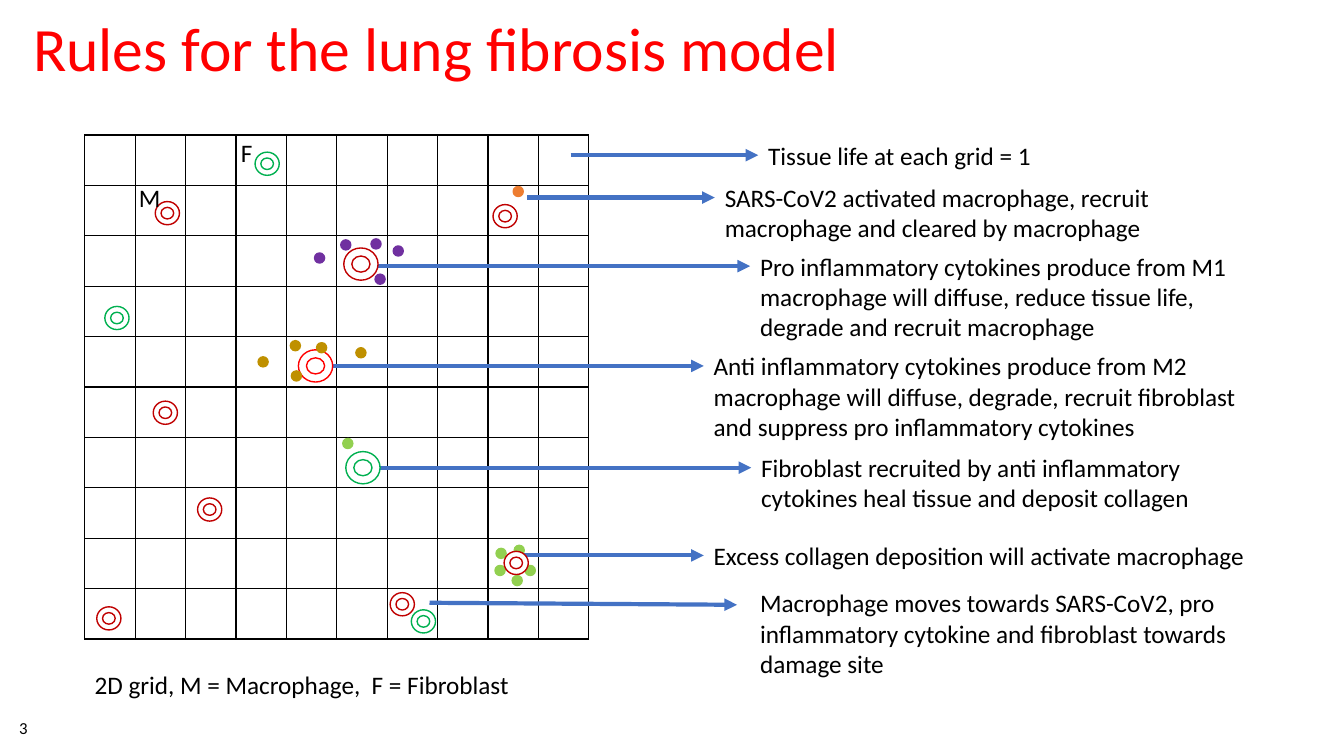
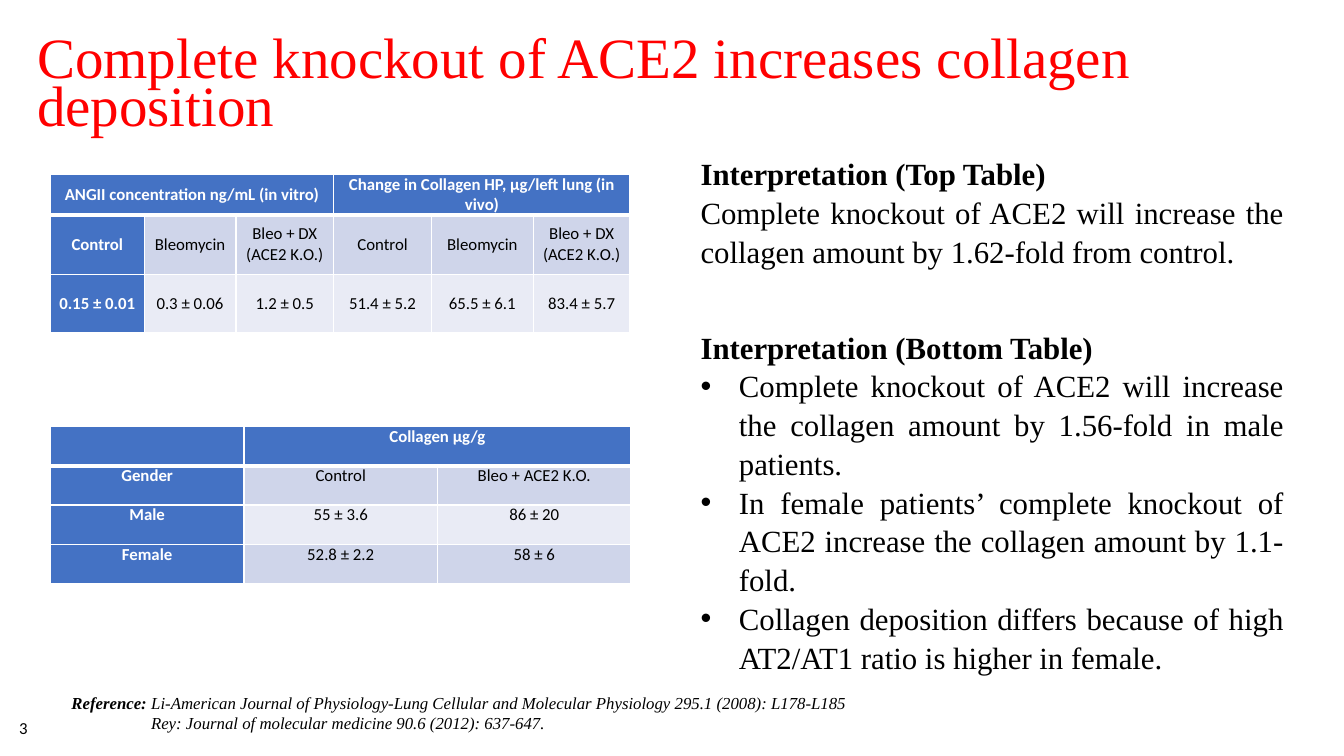
from lxml import etree
from pptx import Presentation
from pptx.dml.color import RGBColor
from pptx.enum.shapes import MSO_CONNECTOR, MSO_SHAPE
from pptx.enum.text import MSO_ANCHOR, PP_ALIGN
from pptx.oxml.ns import qn
from pptx.util import Inches, Pt

STRAIGHT = MSO_CONNECTOR.STRAIGHT
DOT, RING = MSO_SHAPE.OVAL, MSO_SHAPE.DONUT
TOP, MIDDLE = MSO_ANCHOR.TOP, MSO_ANCHOR.MIDDLE
CENTER, JUSTIFY = PP_ALIGN.CENTER, PP_ALIGN.JUSTIFY
SANS, SERIF = "Calibri", "Times New Roman"
COLORS = {
    "title": "FF0000", "text": "000000", "white": "FFFFFF", "blue": "4472C4",
    "band_dark": "CFD5EA", "band_light": "E9EBF5",
    "macrophage": "C00000", "m2": "FF0000", "fibroblast": "00B050",
    "virus": "ED7D31", "pro": "7030A0", "anti": "BF9000", "collagen": "92D050",
}

SMALL = (0.24, 0.23)
LARGE = (0.34, 0.32)
# Positions in the model are measured from the grid's top left corner.
RINGS = [
    ("macrophage", SMALL, [(0.7, 0.66), (0.68, 2.64), (1.12, 3.6), (0.12, 4.68),
                           (4.05, 0.69), (4.16, 4.13), (3.03, 4.54)]),
    ("fibroblast", SMALL, [(1.69, 0.17), (0.2, 1.7), (3.24, 4.71)]),
    ("macrophage", LARGE, [(2.57, 1.12)]),
    ("m2", LARGE, [(2.12, 2.13)]),
    ("fibroblast", LARGE, [(2.59, 3.14)]),
]
COLLAGEN_DOTS = [
    ("collagen", (0.1, 0.1), [(2.56, 3.01), (4.07, 4.27), (4.24, 4.37),
                              (4.26, 4.07), (4.37, 4.27), (4.08, 4.1)]),
]
SIGNAL_DOTS = [
    ("virus", (0.1, 0.1), [(4.25, 0.51)]),
    ("pro", (0.1, 0.1), [(2.84, 1.03), (2.54, 1.04), (2.28, 1.17),
                         (3.06, 1.1), (2.88, 1.38)]),
    ("anti", (0.1, 0.1), [(2.04, 2.04), (2.3, 2.06), (2.69, 2.11),
                          (2.05, 2.34), (1.72, 2.2)]),
]
# Arrow start, text box (left, top, width, height), text.
RULES = [
    ((4.82, 0.2), (6.68, 0, 3.16, 0.4), "Tissue life at each grid = 1"),
    ((4.39, 0.62), (6.25, 0.42, 5.6, 0.71),
     "SARS-CoV2 activated macrophage, recruit macrophage and cleared by macrophage"),
    ((2.91, 1.3), (6.6, 1.1, 5.15, 1.01),
     "Pro inflammatory cytokines produce from M1 macrophage will diffuse, "
     "reduce tissue life, degrade and recruit macrophage"),
    ((2.46, 2.29), (6.14, 2.09, 5.46, 1.01),
     "Anti inflammatory cytokines produce from M2 macrophage will diffuse, degrade, "
     "recruit fibroblast and suppress pro inflammatory cytokines"),
    ((2.92, 3.3), (6.61, 3.1, 5.15, 0.71),
     "Fibroblast recruited by anti inflammatory cytokines heal tissue and deposit collagen"),
    ((4.28, 4.17), (6.14, 3.97, 5.6, 0.4),
     "Excess collagen deposition will activate macrophage"),
    ((3.42, 4.64), (6.6, 4.44, 4.87, 1.01),
     "Macrophage moves towards SARS-CoV2, pro inflammatory cytokine "
     "and fibroblast towards damage site"),
]
LINE_HEIGHT = 0.4
LAST_ARROW_END = (6.47, 4.66)

CONCENTRATION_ROWS = [
    ["ANGII concentration ng/mL (in vitro)", "", "",
     "Change in Collagen HP, μg/left lung (in vivo)", "", ""],
    ["Control", "Bleomycin", "Bleo + DX (ACE2 K.O.)"] * 2,
    ["0.15 ± 0.01", "0.3 ± 0.06", "1.2 ± 0.5", "51.4 ± 5.2", "65.5 ± 6.1", "83.4 ± 5.7"],
]
GENDER_ROWS = [
    ["", "Collagen μg/g", ""],
    ["Gender", "Control", "Bleo + ACE2 K.O."],
    ["Male", "55 ± 3.6", "86 ± 20"],
    ["Female", "52.8 ± 2.2", "58 ± 6"],
]
BOTTOM_POINTS = [
    "Complete knockout of ACE2 will increase the collagen amount by 1.56-fold in male patients.",
    "In female patients’ complete knockout of ACE2 increase the collagen amount by 1.1-fold.",
    "Collagen deposition differs because of high AT2/AT1 ratio is higher in female.",
]


def rgb(name):
    return RGBColor.from_string(COLORS[name])


def inches(values):
    return [Inches(value) for value in values]


def set_font(para, name, size, color="text", bold=False):
    font = para.font
    font.name, font.size, font.bold = name, Pt(size), bold
    font.color.rgb = rgb(color)


def add_text(page, box, lines, name=SANS, size=18, color="text", anchor=TOP, wrap=True):
    """Add a text box with one paragraph per line and return it."""
    text_box = page.shapes.add_textbox(*inches(box))
    frame = text_box.text_frame
    frame.word_wrap = wrap
    frame.vertical_anchor = anchor
    for index, line in enumerate(lines):
        para = frame.paragraphs[0] if index == 0 else frame.add_paragraph()
        para.text = line
        set_font(para, name, size, color)
    return text_box


def add_title(page, box, text, name, size, spacing):
    title = add_text(page, box, [text], name, size, "title", MIDDLE)
    title.text_frame.paragraphs[0].line_spacing = spacing


def add_page_number(page):
    add_text(page, (0.09, 7.07, 0.29, 0.3), ["3"], size=12, wrap=False)


def set_borders(cell, color, widths):
    """Draw the cell's edges; widths are points for left, right, top, bottom."""
    properties = cell._tc.get_or_add_tcPr()
    for side, width in zip(("lnL", "lnR", "lnT", "lnB"), widths):
        edge = etree.SubElement(properties, qn(f"a:{side}"), w=str(Pt(width)))
        fill = etree.SubElement(edge, qn("a:solidFill"))
        etree.SubElement(fill, qn("a:srgbClr"), val=COLORS[color])


def add_plain_table(page, left, top, columns, rows):
    box = inches((left, top, sum(columns), sum(rows)))
    table = page.shapes.add_table(len(rows), len(columns), *box).table
    table.first_row = table.horz_banding = False
    for column, width in zip(table.columns, columns):
        column.width = Inches(width)
    for row, height in zip(table.rows, rows):
        row.height = Inches(height)
    return table


def add_data_table(page, left, top, columns, heights, rows, spans, anchor):
    """Add a banded table whose header cells are merged over the given column spans."""
    table = add_plain_table(page, left, top, columns, heights)
    for row, texts in enumerate(rows):
        for column, text in enumerate(texts):
            cell = table.cell(row, column)
            heading = row == 0 or column == 0
            band = "band_dark" if row % 2 else "band_light"
            set_borders(cell, "white", (1, 1, 3 if row == 1 else 1, 3 if row == 0 else 1))
            cell.fill.solid()
            cell.fill.fore_color.rgb = rgb("blue" if heading else band)
            cell.margin_left = cell.margin_right = Inches(0.07)
            cell.margin_top = cell.margin_bottom = 0
            cell.vertical_anchor = anchor
            para = cell.text_frame.paragraphs[0]
            para.text = text
            para.alignment = CENTER
            set_font(para, SANS, 12, "white" if heading else "text", heading)
    for first, last in spans:
        table.cell(0, first).merge(table.cell(0, last))


def add_grid(page, left, top, side, count):
    table = add_plain_table(page, left, top, [side / count] * count, [side / count] * count)
    for cell in table.iter_cells():
        set_borders(cell, "text", (1, 1, 1, 1))
        cell.fill.background()


def add_marks(page, left, top, kind, groups):
    for color, (width, height), places in groups:
        for x, y in places:
            mark = page.shapes.add_shape(kind, *inches((left + x, top + y, width, height)))
            mark.shadow.inherit = False
            mark.fill.solid()
            mark.fill.fore_color.rgb = rgb("white" if kind == RING else color)
            mark.line.color.rgb = rgb(color)
            mark.line.width = Pt(1)


def add_arrow(page, start, end):
    arrow = page.shapes.add_connector(STRAIGHT, *inches((*start, *end)))
    arrow.line.color.rgb = rgb("blue")
    arrow.line.width = Pt(3)
    etree.SubElement(arrow.line._get_or_add_ln(), qn("a:tailEnd"), type="triangle")
    etree.SubElement(arrow._element.spPr, qn("a:effectLst"))
    return arrow


def add_rules(page, left, top):
    for (start_x, start_y), (x, y, width, height), text in RULES:
        note = add_text(page, (left + x, top + y, width, height), [text])
        is_last = text == RULES[-1][2]
        end_x, end_y = LAST_ARROW_END if is_last else (x, y + LINE_HEIGHT / 2)
        arrow = add_arrow(page, (left + start_x, top + start_y), (left + end_x, top + end_y))
        if height == LINE_HEIGHT:
            arrow.end_connect(note, 1)


def add_interpretation(page, box, heading, lines, bulleted=False):
    text_box = add_text(page, box, [heading, *lines], SERIF, 22)
    paras = text_box.text_frame.paragraphs
    paras[0].font.bold = True
    for para in paras:
        para.alignment = JUSTIFY
        para.line_spacing = 1.05
    for para in paras[1:] if bulleted else ():
        properties = para._p.get_or_add_pPr()
        properties.set("marL", str(Inches(0.38)))
        properties.set("indent", str(-Inches(0.38)))
        bullet_font = etree.Element(qn("a:buFont"), typeface="Arial")
        bullet = etree.Element(qn("a:buChar"), char="•")
        position = properties.index(properties.find(qn("a:defRPr")))
        properties[position:position] = [bullet_font, bullet]


def add_reference(page, box):
    text_box = add_text(page, box, ["", "Rey: Journal of molecular medicine 90.6 (2012): 637-647."],
                        SERIF, 12, anchor=MIDDLE)
    first, second = text_box.text_frame.paragraphs
    label = first.add_run()
    label.text = "Reference: "
    label.font.bold = True
    source = first.add_run()
    source.text = ("Li-American Journal of Physiology-Lung Cellular and Molecular "
                   "Physiology 295.1 (2008): L178-L185")
    second._p.get_or_add_pPr().set("marL", str(Inches(0.79)))
    for para in (first, second):
        para.font.italic = True
        para.alignment = JUSTIFY


def build_model_slide(page):
    left, top, side = 0.84, 1.34, 5
    add_grid(page, left, top, side, 10)
    add_marks(page, left, top, DOT, COLLAGEN_DOTS)
    add_rules(page, left, top)
    add_marks(page, left, top, RING, RINGS)
    add_marks(page, left, top, DOT, SIGNAL_DOTS)
    for letter, x, y in (("F", 1.45, -0.03), ("M", 0.44, 0.42)):
        add_text(page, (left + x, top + y, 0.33, LINE_HEIGHT), [letter])
    add_text(page, (left, top + side + 0.25, side, LINE_HEIGHT),
             ["2D grid, M = Macrophage,  F = Fibroblast"])
    add_title(page, (0.23, 0.11, 12.78, 0.81), "Rules for the lung fibrosis model", SANS, 44, 0.9)
    add_page_number(page)


def build_knockout_slide(page):
    add_title(page, (0.27, 0.29, 12.78, 1.17),
              "Complete knockout of ACE2 increases collagen deposition", SERIF, 40.7, 0.7)
    add_data_table(page, 0.5, 1.73, [0.93, 0.91, 0.97, 0.97, 1.01, 0.96], [0.4, 0.59, 0.58],
                   CONCENTRATION_ROWS, [(0, 2), (3, 5)], MIDDLE)
    add_data_table(page, 0.5, 4.23, [1.92] * 3, [0.39] * 4, GENDER_ROWS, [(1, 2)], TOP)
    add_interpretation(page, (6.85, 1.47, 5.98, 1.21), "Interpretation (Top Table)",
                       ["Complete knockout of ACE2 will increase the collagen amount "
                        "by 1.62-fold from control."])
    add_interpretation(page, (6.85, 3.19, 5.98, 3.43), "Interpretation (Bottom Table)",
                       BOTTOM_POINTS, bulleted=True)
    add_reference(page, (0.61, 6.82, 7.98, 0.5))
    add_page_number(page)


def main():
    deck = Presentation()
    deck.slide_width, deck.slide_height = inches((13.33, 7.5))
    for build in (build_model_slide, build_knockout_slide):
        build(deck.slides.add_slide(deck.slide_layouts[6]))
    deck.save("out.pptx")


if __name__ == "__main__":
    main()
